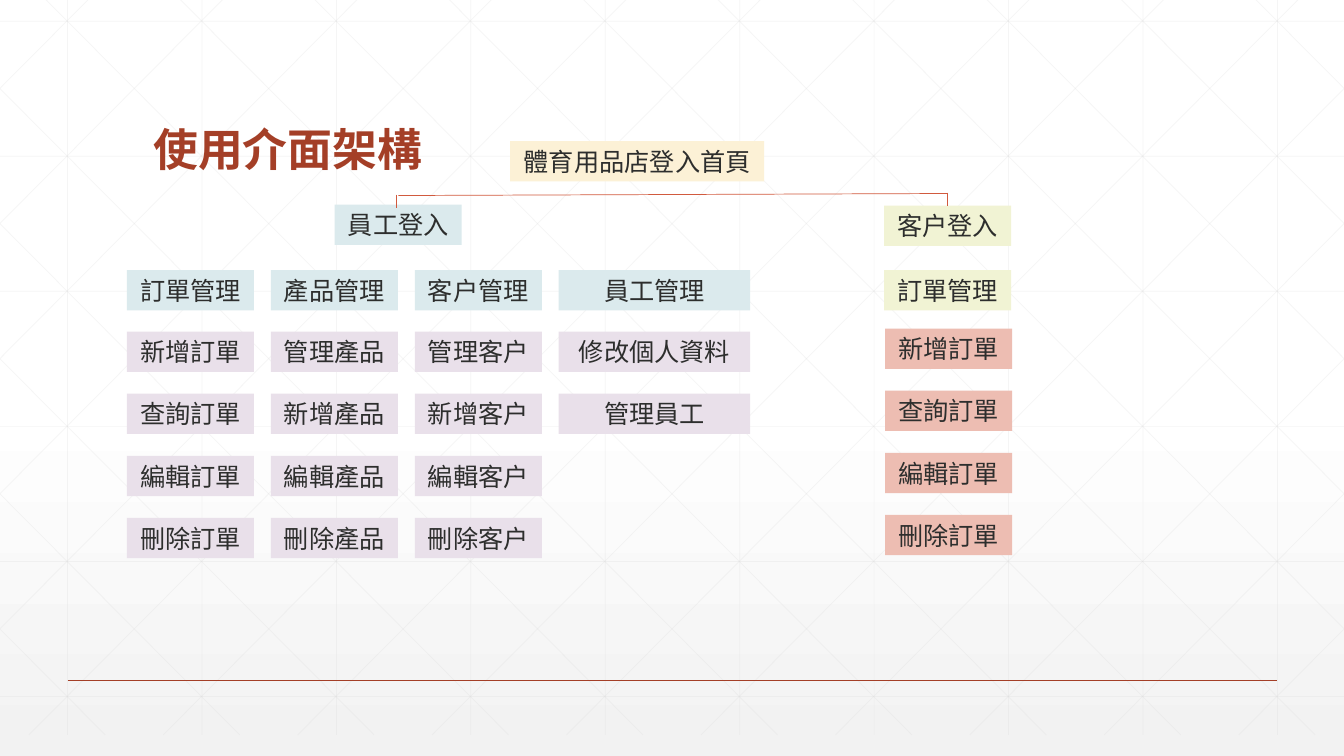
"""Build the slide showing the interface structure of a sports shop system."""
from copy import deepcopy

from lxml import etree
from pptx import Presentation
from pptx.dml.color import RGBColor
from pptx.enum.shapes import MSO_CONNECTOR, MSO_SHAPE
from pptx.enum.text import MSO_ANCHOR, MSO_AUTO_SIZE, PP_ALIGN
from pptx.oxml.ns import qn
from pptx.util import Inches, Pt

RECTANGLE, STRAIGHT = MSO_SHAPE.RECTANGLE, MSO_CONNECTOR.STRAIGHT
LEFT, CENTER = PP_ALIGN.LEFT, PP_ALIGN.CENTER
MIDDLE, BOTTOM = MSO_ANCHOR.MIDDLE, MSO_ANCHOR.BOTTOM
GROW, FIXED = MSO_AUTO_SIZE.SHAPE_TO_FIT_TEXT, MSO_AUTO_SIZE.NONE

COLORS = {
    "white": "FFFFFF", "gray": "F2F2F2", "grid": "D9D9D9", "title": "A43F27",
    "branch": "D15A3E", "text": "2D2E2D", "home": "FCF1D6", "staff": "DBEAED",
    "staff_action": "E9E0EA", "customer": "F1F3D4", "customer_action": "EDBDB2",
}
CJK_FONT = "Noto Sans CJK TC"

TITLE = "使用介面架構"
LOGINS = [
    ("體育用品店登入首頁", 5.06, 1.4, 2.52, "home"),
    ("員工登入", 3.32, 2.03, 1.26, "staff"),
    ("客戶登入", 8.77, 2.04, 1.26, "customer"),
]
STAFF_MENUS = [
    ("訂單管理", ["新增訂單", "查詢訂單", "編輯訂單", "刪除訂單"]),
    ("產品管理", ["管理產品", "新增產品", "編輯產品", "刪除產品"]),
    ("客戶管理", ["管理客戶", "新增客戶", "編輯客戶", "刪除客戶"]),
    ("員工管理", ["修改個人資料", "管理員工"]),
]
CUSTOMER_MENU = ("訂單管理", ["新增訂單", "查詢訂單", "編輯訂單", "刪除訂單"])
BRANCHES = [
    (9.4, 1.92, 3.95, 1.94),
    (9.4, 1.91, 9.4, 2.04),
    (3.93, 1.93, 3.93, 2.06),
]
BACKGROUND_STOPS = [(0, "white"), (0.53, "white"), (1, "gray")]

WIDTH, HEIGHT = 13.33, 7.5
BOX_WIDTH, WIDE_BOX, BOX_HEIGHT = 1.26, 1.9, 0.4
MENU_LEFT, MENU_TOP, MENU_STEP = 1.26, 2.68, 1.427
ACTION_TOP, ACTION_STEP = 3.29, 0.616
GRID_TOP, GRID_BOTTOM, GRID_STEP = -0.21, 7.29, 4 / 3
DIAGONAL_RUN = 7.46


def rgb(name):
    return RGBColor.from_string(COLORS[name])


def write_text(shape, text, *, size=18, color="text", font="Arial", bold=False,
               align=CENTER, anchor=MIDDLE, spacing=None, fit=GROW):
    frame = shape.text_frame
    frame.word_wrap = True
    frame.auto_size = fit
    frame.vertical_anchor = anchor
    paragraph = frame.paragraphs[0]
    paragraph.alignment = align
    paragraph.line_spacing = spacing
    run = paragraph.add_run()
    run.text = text
    run.font.size = Pt(size)
    run.font.name = font
    run.font.bold = bold
    run.font.color.rgb = rgb(color)
    east_asian = etree.SubElement(run.font._element, qn("a:ea"))
    east_asian.set("typeface", CJK_FONT)


def add_box(slide, text, left, top, width, fill):
    box = slide.shapes.add_shape(RECTANGLE, Inches(left), Inches(top),
                                 Inches(width), Inches(BOX_HEIGHT))
    box.shadow.inherit = False
    box.fill.solid()
    box.fill.fore_color.rgb = rgb(fill)
    box.line.fill.background()
    write_text(box, text)


def add_line(slide, points, color, width=0.5, opacity=None):
    line = slide.shapes.add_connector(STRAIGHT, *[Inches(value) for value in points])
    line.line.width = Pt(width)
    line.line.color.rgb = rgb(color)
    properties = line._element.spPr
    if opacity is not None:
        alpha = etree.SubElement(properties.find(".//" + qn("a:srgbClr")), qn("a:alpha"))
        alpha.set("val", str(opacity * 1000))
    etree.SubElement(properties, qn("a:effectLst"))


def paint_background(slide):
    fill = slide.background.fill
    fill.gradient()
    fill.gradient_angle = 270
    stop_list = slide.element.find(".//" + qn("a:gsLst"))
    stop_list.append(deepcopy(stop_list[0]))
    for stop, (position, color) in zip(fill.gradient_stops, BACKGROUND_STOPS):
        stop.position = position
        stop.color.rgb = rgb(color)


def grid_lines():
    for column in range(10):
        x = 0.67 + column * GRID_STEP
        yield x, GRID_TOP, x, GRID_BOTTOM
    for row in range(6):
        y = 0.21 + row * 1.34
        yield 0, y, WIDTH, y
    slope = (GRID_BOTTOM - GRID_TOP) / DIAGONAL_RUN
    for index in range(-5, 10):
        start = 0.25 + index * GRID_STEP
        x1, x2 = max(start, 0), min(start + DIAGONAL_RUN, WIDTH)
        y1, y2 = [GRID_TOP + (x - start) * slope for x in (x1, x2)]
        yield x1, y1, x2, y2
        yield WIDTH - x1, y1, WIDTH - x2, y2


def add_actions(slide, actions, left, top, width, fill):
    for row, action in enumerate(actions):
        add_box(slide, action, left, top + row * ACTION_STEP, width, fill)


def main():
    presentation = Presentation()
    presentation.slide_width, presentation.slide_height = Inches(WIDTH), Inches(HEIGHT)
    slide = presentation.slides.add_slide(presentation.slide_layouts[5])
    paint_background(slide)
    for points in grid_lines():
        add_line(slide, points, "grid", opacity=25)
    add_line(slide, (0.67, 6.75, 12.67, 6.75), "title", width=1)

    title = slide.shapes.title
    title.left, title.top = Inches(1.42), Inches(0.55)
    title.width, title.height = Inches(10.5), Inches(1.25)
    write_text(title, TITLE, size=32, color="title", font=CJK_FONT, bold=True,
               align=LEFT, anchor=BOTTOM, spacing=0.9, fit=FIXED)
    slide.shapes._spTree.append(title._element)

    for login in LOGINS:
        add_box(slide, *login)
    for column, (menu, actions) in enumerate(STAFF_MENUS):
        left = MENU_LEFT + column * MENU_STEP
        is_last = column == len(STAFF_MENUS) - 1
        width = WIDE_BOX if is_last else BOX_WIDTH
        add_box(slide, menu, left, MENU_TOP, width, "staff")
        add_actions(slide, actions, left, ACTION_TOP, width, "staff_action")
    menu, actions = CUSTOMER_MENU
    add_box(slide, menu, 8.77, MENU_TOP, BOX_WIDTH, "customer")
    add_actions(slide, actions, 8.78, 3.26, BOX_WIDTH, "customer_action")
    for points in BRANCHES:
        add_line(slide, points, "branch")
    presentation.save("out.pptx")


if __name__ == "__main__":
    main()
